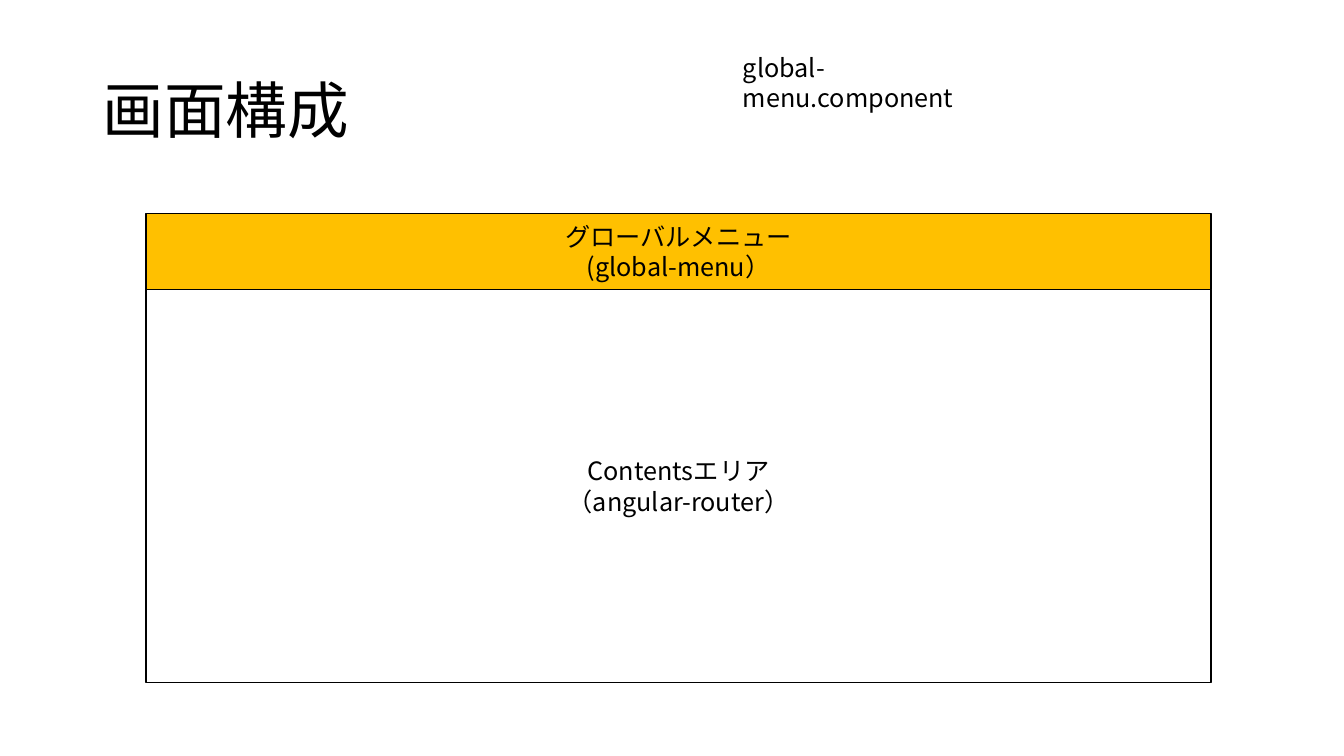
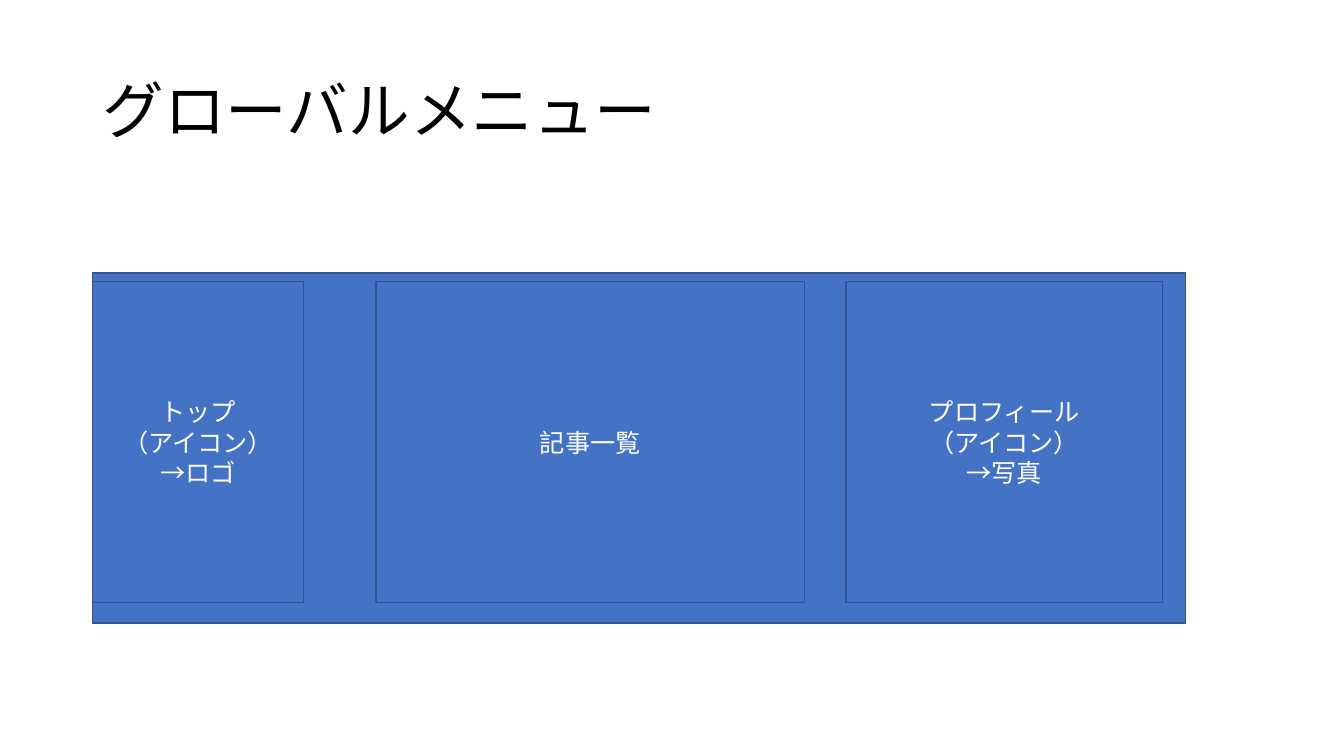
"""Builds two slides on the screen layout and its global menu."""
import pptx
import pptx.util
import pptx.dml.color
import pptx.enum.shapes
import pptx.enum.text
import pptx.oxml
import pptx.oxml.ns

FONT = "Noto Sans CJK JP"
BLACK, WHITE, GOLD, BLUE, NAVY = "000000", "FFFFFF", "FFC000", "4472C4", "325491"
TITLE = (0.92, 0.4, 11.5, 1.45)

LAYOUT = "画面構成"
NOTE = "global-menu.component"
LEFT, TOP, WIDTH = 1.45, 2.12, 10.56
AREAS = [
    (["グローバルメニュー", "(global-menu）"], 0.75, GOLD),
    (["Contentsエリア\v（angular-router）"], 3.9, WHITE),
]

MENU = "グローバルメニュー"
BAR = (0.92, 2.71, 10.84, 3.47)
ROW, TALL = 2.79, 3.19
ITEMS = [
    (["トップ", "（アイコン）", "→ロゴ"], 0.92, 2.09),
    (["記事一覧"], 3.73, 4.25),
    (["プロフィール", "（アイコン）", "→写真"], 8.39, 3.14),
]

Inches, Pt = pptx.util.Inches, pptx.util.Pt
Align, Anchor = pptx.enum.text.PP_ALIGN, pptx.enum.text.MSO_ANCHOR


def color(code):
    return pptx.dml.color.RGBColor.from_string(code)


def write(frame, lines, size=18, ink=BLACK, align=Align.LEFT,
          anchor=Anchor.TOP, space=1.0):
    frame.word_wrap = True
    frame.vertical_anchor = anchor
    for i, line in enumerate(lines):
        para = frame.paragraphs[0] if i == 0 else frame.add_paragraph()
        para.text = line
        para.alignment = align
        para.line_spacing = space
        for run in para.runs:
            run.font.size = Pt(size)
            run.font.name = FONT
            run.font.color.rgb = color(ink)
            east = pptx.oxml.parse_xml(
                f'<a:ea {pptx.oxml.ns.nsdecls("a")} typeface="{FONT}"/>')
            run.font._element.find(pptx.oxml.ns.qn("a:latin")).addnext(east)


def label(slide, text, place, **style):
    box = slide.shapes.add_textbox(*map(Inches, place))
    write(box.text_frame, [text], **style)


def panel(slide, place, fill, edge, lines=(), ink=BLACK):
    kind = pptx.enum.shapes.MSO_SHAPE.RECTANGLE
    shape = slide.shapes.add_shape(kind, *map(Inches, place))
    shape.shadow.inherit = False
    shape.fill.solid()
    shape.fill.fore_color.rgb = color(fill)
    shape.line.color.rgb = color(edge)
    shape.line.width = Pt(1)
    write(shape.text_frame, lines, ink=ink, align=Align.CENTER, anchor=Anchor.MIDDLE)


def page(title):
    slide = deck.slides.add_slide(deck.slide_layouts[6])
    label(slide, title, TITLE, size=44, anchor=Anchor.MIDDLE, space=0.9)
    return slide


deck = pptx.Presentation()
deck.slide_width, deck.slide_height = Inches(13.33), Inches(7.5)

slide = page(LAYOUT)
top = TOP
for lines, height, fill in AREAS:
    panel(slide, (LEFT, top, WIDTH, height), fill, BLACK, lines)
    top += height
label(slide, NOTE, (7.27, 0.47, 3.03, 0.71))

slide = page(MENU)
panel(slide, BAR, BLUE, NAVY)
for lines, left, width in ITEMS:
    panel(slide, (left, ROW, width, TALL), BLUE, NAVY, lines, WHITE)

deck.save("out.pptx")
